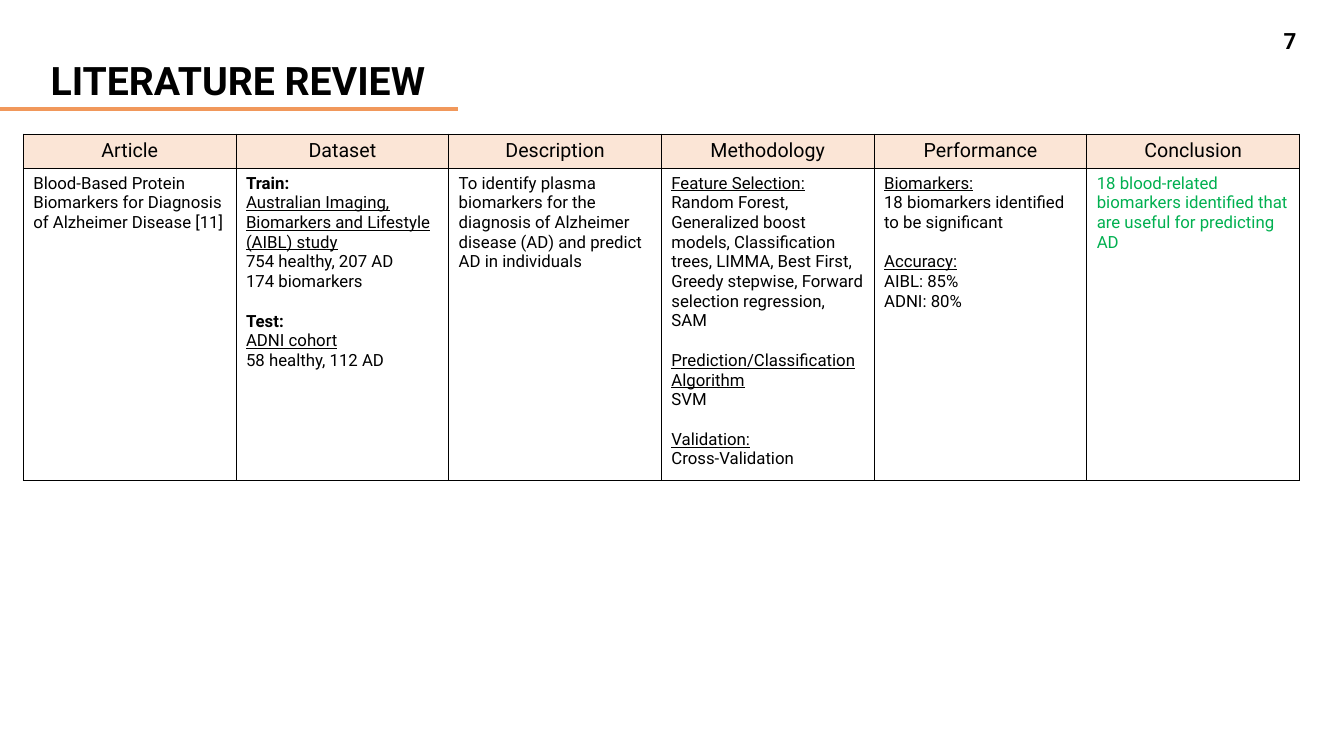
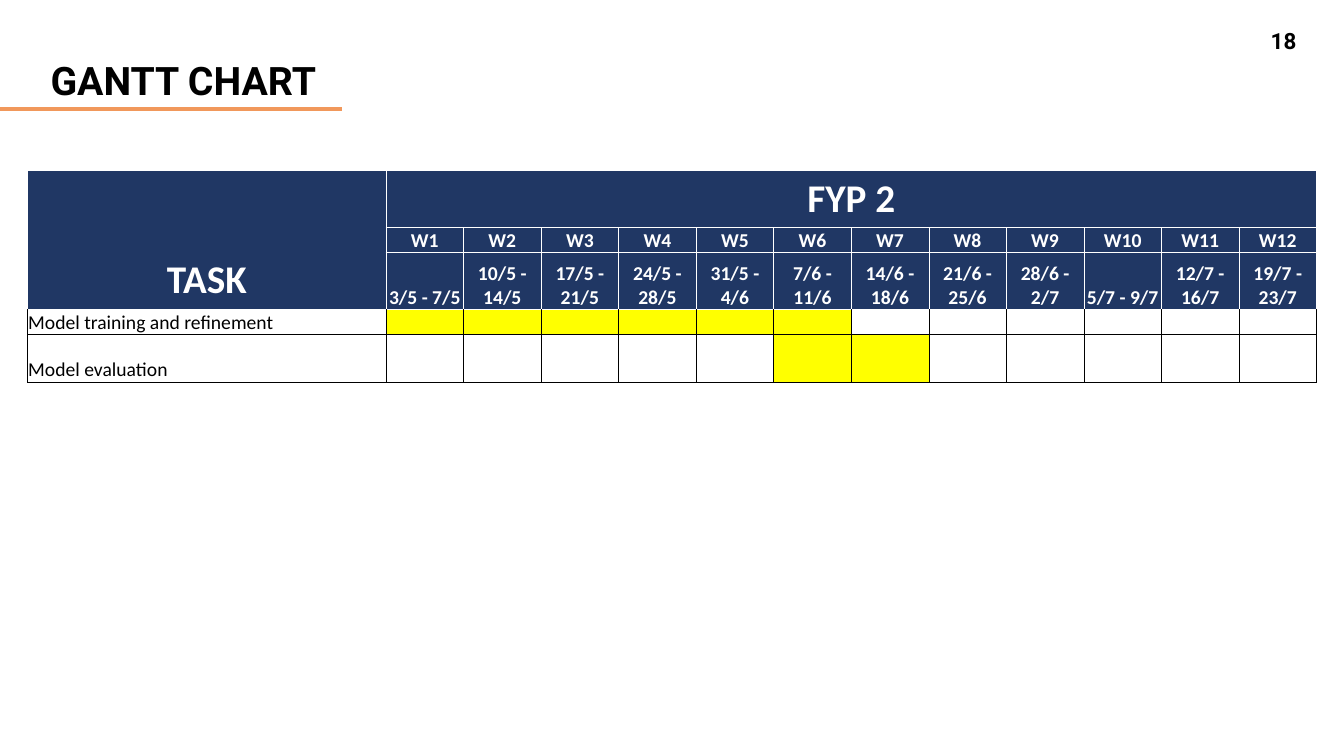
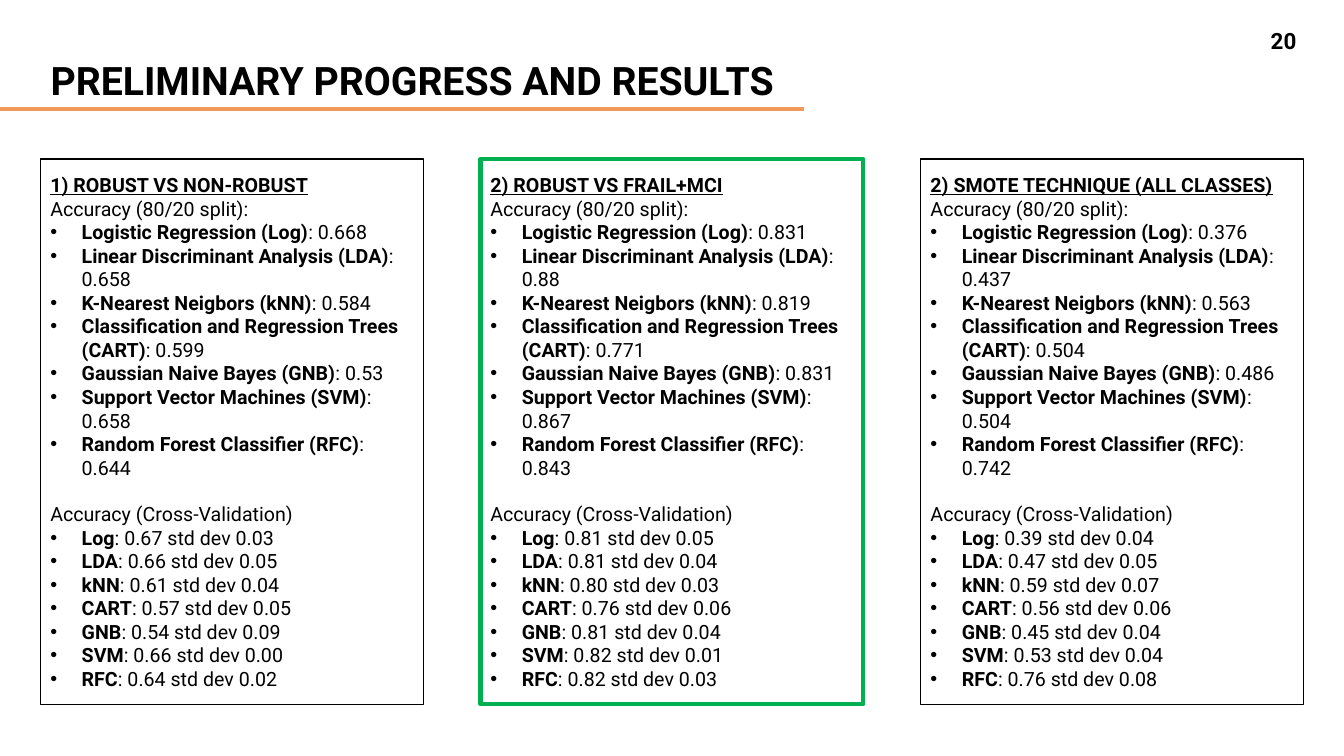
"""Build three project slides: literature review, Gantt chart and results."""
from lxml import etree
from pptx import Presentation
from pptx import util as u
from pptx.dml.color import RGBColor
from pptx.enum import shapes, text
from pptx.oxml.ns import qn

BLACK, WHITE, ORANGE, GREEN = "000000", "FFFFFF", "F1985B", "00B050"
PEACH, NAVY, YELLOW = "FBE5D6", "203764", "FFFF00"
ROBOTO, CALIBRI = "Roboto", "Calibri"
LEFT, CENTER, RIGHT = text.PP_ALIGN.LEFT, text.PP_ALIGN.CENTER, text.PP_ALIGN.RIGHT
TOP, MIDDLE, BOTTOM = text.MSO_ANCHOR.TOP, text.MSO_ANCHOR.MIDDLE, text.MSO_ANCHOR.BOTTOM
CELL_INSETS = (0.25, 0.13, 0.25, 0.13)
TIGHT_INSETS = (0.02, 0.02, 0.02, 0)

# Each paragraph is (text, style): b bold, u underlined, g gap above.
REVIEW = {
    "Article": [("Blood-Based Protein Biomarkers for Diagnosis", ""),
                ("of Alzheimer Disease [11]", "")],
    "Dataset": [("Train:", "b"),
                ("Australian Imaging, Biomarkers and Lifestyle (AIBL) study", "u"),
                ("754 healthy, 207 AD", ""), ("174 biomarkers", ""),
                ("Test:", "bg"), ("ADNI cohort", "u"), ("58 healthy, 112 AD", "")],
    "Description": [("To identify plasma biomarkers for the diagnosis of Alzheimer "
                     "disease (AD) and predict AD in individuals", "")],
    "Methodology": [("Feature Selection:", "u"),
                    ("Random Forest, Generalized boost models, Classification trees, "
                     "LIMMA, Best First, Greedy stepwise, Forward selection regression, "
                     "SAM", ""),
                    ("Prediction/Classification Algorithm", "ug"), ("SVM", ""),
                    ("Validation:", "ug"), ("Cross-Validation", "")],
    "Performance": [("Biomarkers:", "u"),
                    ("18 biomarkers identified to be significant", ""),
                    ("Accuracy:", "ug"), ("AIBL: 85%", ""), ("ADNI: 80%", "")],
    "Conclusion": [("18 blood-related biomarkers identified that are useful for "
                    "predicting AD", "")],
}

WEEKS = ["3/5 - 7/5", "10/5 - 14/5", "17/5 - 21/5", "24/5 - 28/5", "31/5 - 4/6",
         "7/6 - 11/6", "14/6 - 18/6", "21/6 - 25/6", "28/6 - 2/7", "5/7 - 9/7",
         "12/7 - 16/7", "19/7 - 23/7"]
TASKS = [("Model training and refinement", range(1, 7)),
         ("Model evaluation", range(6, 8))]

MODELS = [("Logistic Regression (Log)", "Log"),
          ("Linear Discriminant Analysis (LDA)", "LDA"),
          ("K-Nearest Neigbors (kNN)", "kNN"),
          ("Classification and Regression Trees (CART)", "CART"),
          ("Gaussian Naive Bayes (GNB)", "GNB"),
          ("Support Vector Machines (SVM)", "SVM"),
          ("Random Forest Classifier (RFC)", "RFC")]
PANELS = [
    ("1) ROBUST VS NON-ROBUST", BLACK, 1,
     ["0.668", "0.658", "0.584", "0.599", "0.53", "0.658", "0.644"],
     ["0.67 std dev 0.03", "0.66 std dev 0.05", "0.61 std dev 0.04", "0.57 std dev 0.05",
      "0.54 std dev 0.09", "0.66 std dev 0.00", "0.64 std dev 0.02"]),
    ("2) ROBUST VS FRAIL+MCI", GREEN, 3,
     ["0.831", "0.88", "0.819", "0.771", "0.831", "0.867", "0.843"],
     ["0.81 std dev 0.05", "0.81 std dev 0.04", "0.80 std dev 0.03", "0.76 std dev 0.06",
      "0.81 std dev 0.04", "0.82 std dev 0.01", "0.82 std dev 0.03"]),
    ("2) SMOTE TECHNIQUE (ALL CLASSES)", BLACK, 1,
     ["0.376", "0.437", "0.563", "0.504", "0.486", "0.504", "0.742"],
     ["0.39 std dev 0.04", "0.47 std dev 0.05", "0.59 std dev 0.07", "0.56 std dev 0.06",
      "0.45 std dev 0.04", "0.53 std dev 0.04", "0.76 std dev 0.08"]),
]


def rgb(value):
    return RGBColor.from_string(value)


def add_run(paragraph, words, size, style="", color=BLACK, font=ROBOTO):
    run = paragraph.add_run()
    run.text = words
    run.font.name, run.font.size = font, u.Pt(size)
    run.font.bold, run.font.underline = "b" in style, "u" in style
    run.font.color.rgb = rgb(color)


def next_paragraph(frame):
    first = frame.paragraphs[0]
    return frame.add_paragraph() if first.runs else first


def write(frame, lines, size, color=BLACK, font=ROBOTO, align=LEFT):
    for words, style in lines:
        paragraph = next_paragraph(frame)
        paragraph.alignment = align
        if "g" in style:
            paragraph.space_before = u.Pt(size * 1.18)
        add_run(paragraph, words, size, style, color, font)


def add_bullet(frame, label, value, size):
    paragraph = next_paragraph(frame)
    paragraph.alignment = LEFT
    properties = paragraph._p.get_or_add_pPr()
    properties.set("marL", str(u.Cm(0.79)))
    properties.set("indent", str(-u.Cm(0.79)))
    etree.SubElement(properties, qn("a:buFont"), typeface="Arial")
    etree.SubElement(properties, qn("a:buChar"), char="•")
    add_run(paragraph, label, size, "b")
    add_run(paragraph, f": {value}", size)


def add_base(presentation, title, number, title_width, rule_width):
    slide = presentation.slides.add_slide(presentation.slide_layouts[5])
    heading = slide.shapes.title
    heading.left, heading.top = u.Cm(1.02), u.Cm(1.3)
    heading.width, heading.height = u.Cm(title_width), u.Cm(1.45)
    frame = heading.text_frame
    frame.vertical_anchor, frame.word_wrap = TOP, True
    frame.auto_size = text.MSO_AUTO_SIZE.SHAPE_TO_FIT_TEXT
    write(frame, [(title, "b")], 28)

    rule = slide.shapes.add_connector(shapes.MSO_CONNECTOR.STRAIGHT, 0, u.Cm(2.75),
                                      u.Cm(rule_width), u.Cm(2.75))
    rule.line.color.rgb, rule.line.width = rgb(ORANGE), u.Pt(3)
    etree.SubElement(rule._element.spPr, qn("a:effectLst"))

    box = slide.shapes.add_textbox(u.Cm(25.3), u.Cm(0.5), u.Cm(7.62), u.Cm(1.02))
    box.text_frame.word_wrap, box.text_frame.vertical_anchor = True, MIDDLE
    write(box.text_frame, [(str(number), "b")], 16, align=RIGHT)
    return slide


def add_grid(slide, left, top, widths, heights):
    table = slide.shapes.add_table(len(heights), len(widths), u.Cm(left), u.Cm(top),
                                   u.Cm(sum(widths)), u.Cm(sum(heights))).table
    table.first_row = table.horz_banding = False
    for column, width in zip(table.columns, widths):
        column.width = u.Cm(width)
    for row, height in zip(table.rows, heights):
        row.height = u.Cm(height)
    return table


def format_cell(cell, fill=None, border=BLACK, top=None, weight=0.5,
                insets=TIGHT_INSETS, anchor=BOTTOM):
    cell.margin_left, cell.margin_top, cell.margin_right, cell.margin_bottom = map(u.Cm, insets)
    cell.vertical_anchor = anchor
    if fill:
        cell.fill.solid()
        cell.fill.fore_color.rgb = rgb(fill)
    else:
        cell.fill.background()
    sides = {"L": border, "R": border, "T": top or border, "B": border}
    for index, (side, color) in enumerate(sides.items()):
        line = etree.Element(qn(f"a:ln{side}"), w=str(u.Pt(weight)))
        solid = etree.SubElement(line, qn("a:solidFill"))
        etree.SubElement(solid, qn("a:srgbClr"), val=color)
        cell._tc.get_or_add_tcPr().insert(index, line)
    paragraph = cell.text_frame.paragraphs[0]
    if not paragraph.runs:
        etree.SubElement(paragraph._p, qn("a:endParaRPr"), sz="1200")


def build_review(presentation):
    slide = add_base(presentation, "LITERATURE REVIEW", 7, 18.03, 11.53)
    table = add_grid(slide, 0.59, 3.38, [5.36] * len(REVIEW), [0.86, 7.87])
    for column, (heading, lines) in enumerate(REVIEW.items()):
        header, body = table.cell(0, column), table.cell(1, column)
        write(header.text_frame, [(heading, "")], 14, align=CENTER)
        write(body.text_frame, lines, 12, GREEN if heading == "Conclusion" else BLACK)
        for cell, fill in ((header, PEACH), (body, None)):
            format_cell(cell, fill, weight=1, insets=CELL_INSETS, anchor=TOP)


def build_gantt(presentation):
    slide = add_base(presentation, "GANTT CHART", 18, 8.1, 8.61)
    count = len(WEEKS)
    week_width = (32.49 - 9.04) / count
    table = add_grid(slide, 0.69, 4.29, [9.04] + [week_width] * count,
                     [1.44, 0.62, 1.44, 0.61, 1.21])
    table.cell(0, 0).merge(table.cell(2, 0))
    table.cell(0, 1).merge(table.cell(0, count))

    headers = {(0, 0): ("TASK", 28), (0, 1): ("FYP 2", 28)}
    for week, dates in enumerate(WEEKS, 1):
        headers[1, week] = (f"W{week}", 14)
        headers[2, week] = (dates, 14)
    for (row, column), (words, size) in headers.items():
        write(table.cell(row, column).text_frame, [(words, "b")], size, WHITE, CALIBRI, CENTER)
    for row in range(3):
        for column in range(count + 1):
            insets = CELL_INSETS if (row, column) in ((0, 0), (0, 1)) else TIGHT_INSETS
            format_cell(table.cell(row, column), NAVY, WHITE, insets=insets)

    for row, (task, active) in enumerate(TASKS, 3):
        write(table.cell(row, 0).text_frame, [(task, "")], 14, font=CALIBRI)
        for column in range(count + 1):
            format_cell(table.cell(row, column), YELLOW if column in active else None,
                        top=WHITE if row == 3 else None)


def build_results(presentation):
    slide = add_base(presentation, "PRELIMINARY PROGRESS AND RESULTS", 20, 19.74, 20.27)
    for index, (heading, color, weight, scores, validations) in enumerate(PANELS):
        panel = slide.shapes.add_shape(shapes.MSO_SHAPE.RECTANGLE, u.Cm(1.02 + 11.09 * index),
                                       u.Cm(4.01), u.Cm(9.65), u.Cm(13.74))
        panel.shadow.inherit = False
        panel.fill.background()
        panel.line.color.rgb, panel.line.width = rgb(color), u.Pt(weight)
        frame = panel.text_frame
        frame.word_wrap, frame.vertical_anchor = True, MIDDLE
        write(frame, [(heading, "bu"), ("Accuracy (80/20 split):", "")], 14)
        for (name, _), score in zip(MODELS, scores):
            add_bullet(frame, name, score, 14)
        write(frame, [("Accuracy (Cross-Validation)", "g")], 14)
        for (_, short), validation in zip(MODELS, validations):
            add_bullet(frame, short, validation, 14)


def main():
    presentation = Presentation()
    presentation.slide_width, presentation.slide_height = u.Cm(33.87), u.Cm(19.05)
    build_review(presentation)
    build_gantt(presentation)
    build_results(presentation)
    presentation.save("out.pptx")


if __name__ == "__main__":
    main()
